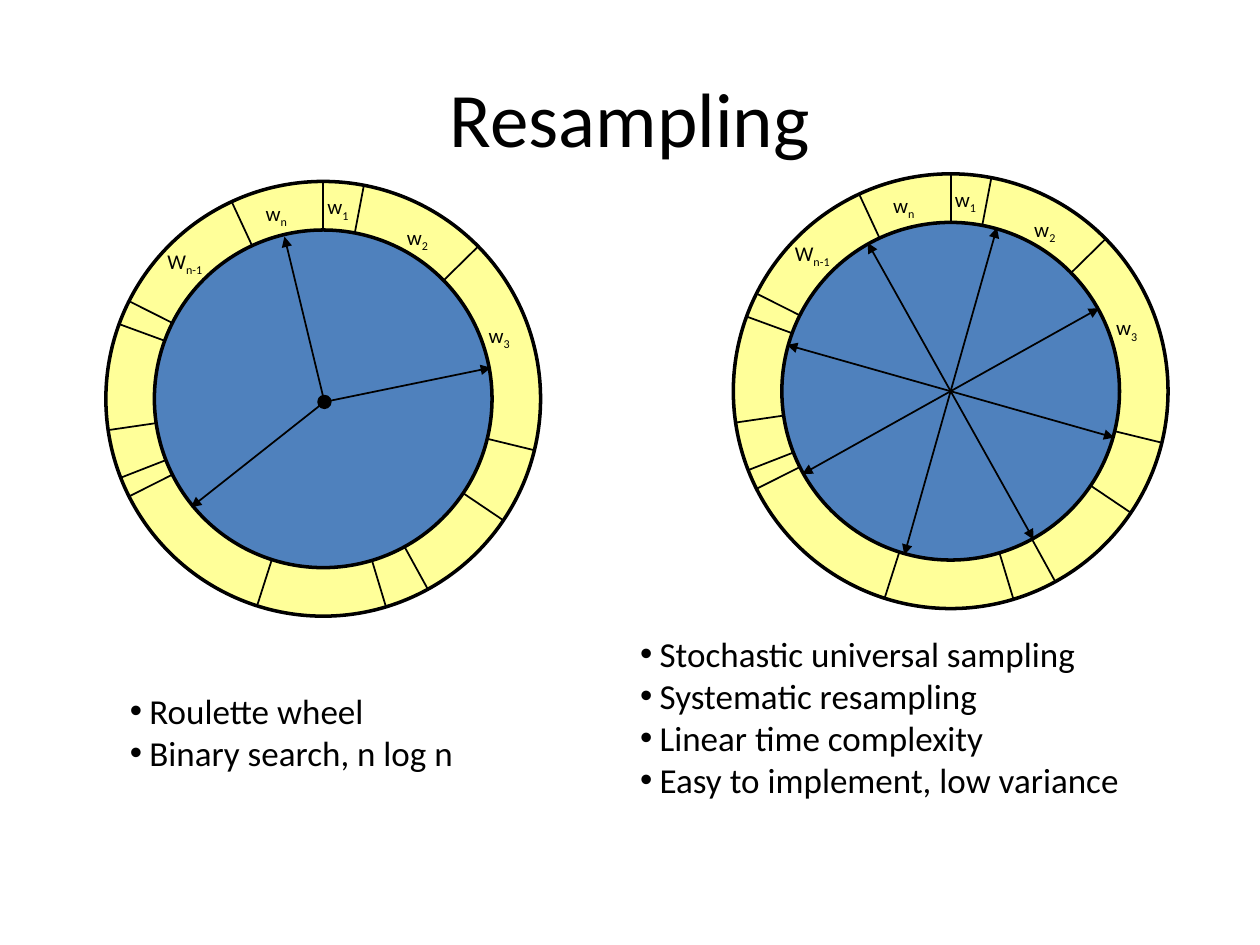
"""Build the slide that compares two resampling schemes on weight wheels."""
import math

from lxml import etree
from pptx import Presentation, util as u
from pptx.dml.color import RGBColor
from pptx.enum import shapes, text
from pptx.oxml import ns

BLACK = RGBColor(0x00, 0x00, 0x00)
YELLOW = RGBColor(0xFF, 0xFF, 0x99)
BLUE = RGBColor(0x4F, 0x81, 0xBD)
FONT = "Calibri"
COLUMNS, ROWS = 100, 75
CELL = u.Inches(0.1)

RIM, HUB, ARROW, SPOKE = 17.25, 13.4, 13.5, 17.2
SPOKE_ANGLES = (0, 10.8, 45.5, 103.7, 124, 151.2, 163.2, 197.7,
                243.3, 248.7, 261.7, 290.1, 296.7, 335.1)
LABELS = (("w", "1", -0.65, -16.75, 4.1), ("w", "2", 5.65, -14.35, 4.1),
          ("w", "3", 12.15, -6.55, 4.1), ("w", "n", -5.55, -16.25, 4.1),
          ("W", "n-1", -13.35, -12.45, 5.6))
ROULETTE, UNIVERSAL = (25.65, 31.65), (75.45, 31.05)
ROULETTE_PIN = (25.75, 31.9)
ROULETTE_ANGLES = (78.4, 231.7, 346.4)
UNIVERSAL_START, UNIVERSAL_STEP, UNIVERSAL_LINES = 15.8, 45, 4


def cells(*counts):
    """Turn counts of grid cells into lengths."""
    return [round(n * CELL) for n in counts]


def polar(center, radius, angle):
    """Find the point at a clockwise angle from twelve o'clock."""
    a = math.radians(angle)
    return center[0] + radius * math.sin(a), center[1] - radius * math.cos(a)


def write(p, words, size=20, subscript=False):
    """Add one formatted run of text to a paragraph."""
    r = p.add_run()
    r.text = words
    r.font.name, r.font.size = FONT, u.Pt(size)
    r.font.color.rgb = BLACK
    if subscript:
        r.font._element.set("baseline", "-25000")


def add_disc(s, center, radius, fill, width=2):
    """Draw a filled circle around a centre."""
    x, y = center
    sp = s.shapes.add_shape(
        shapes.MSO_SHAPE.OVAL,
        *cells(x - radius, y - radius, 2 * radius, 2 * radius))
    sp.shadow.inherit = False
    sp.fill.solid()
    sp.fill.fore_color.rgb = fill
    sp.line.color.rgb = BLACK
    sp.line.width = u.Pt(width)


def add_line(s, start, end, heads=()):
    """Draw a thin line with arrowheads at the named ends."""
    line = s.shapes.add_connector(
        shapes.MSO_CONNECTOR.STRAIGHT, *cells(*start, *end))
    line.line.color.rgb = BLACK
    line.line.width = u.Pt(1)
    for head in heads:
        etree.SubElement(line.line._ln, ns.qn(f"a:{head}"), type="triangle")
    etree.SubElement(line._element.spPr, ns.qn("a:effectLst"))


def add_label(s, center, letter, index, dx, dy, width):
    """Write a weight's name beside its sector."""
    x, y = center
    tf = s.shapes.add_textbox(*cells(x + dx, y + dy, width, 2.8)).text_frame
    tf.word_wrap = True
    write(tf.paragraphs[0], letter, size=12)
    write(tf.paragraphs[0], index, size=12, subscript=True)


def add_wheel(s, center):
    """Draw the ring of weights with its hub."""
    add_disc(s, center, RIM, YELLOW)
    for angle in SPOKE_ANGLES:
        add_line(s, center, polar(center, SPOKE, angle))
    for label in LABELS:
        add_label(s, center, *label)
    add_disc(s, center, HUB, BLUE)


def place(sp, x, y, width, height):
    """Move a placeholder to a grid position and return its text frame."""
    sp.left, sp.top, sp.width, sp.height = cells(x, y, width, height)
    tf = sp.text_frame
    tf.word_wrap = True
    tf.auto_size = text.MSO_AUTO_SIZE.NONE
    return tf


def fill_list(tf, items):
    """Write a tight bulleted list."""
    tf.vertical_anchor = text.MSO_ANCHOR.TOP
    indent = cells(1.55)[0]
    for i, item in enumerate(items):
        p = tf.add_paragraph() if i else tf.paragraphs[0]
        p.space_before = u.Pt(0)
        pPr = p._p.get_or_add_pPr()
        pPr.set("marL", str(indent))
        pPr.set("indent", str(-indent))
        etree.SubElement(pPr, ns.qn("a:buChar"), char="•")
        write(p, item)


def main():
    """Compose and save the slide."""
    prs = Presentation()
    prs.slide_width, prs.slide_height = cells(COLUMNS, ROWS)
    s = prs.slides.add_slide(prs.slide_layouts[3])
    title, left, right = s.placeholders

    tf = place(title, 5, 3, 90, 12.5)
    tf.vertical_anchor = text.MSO_ANCHOR.MIDDLE
    tf.paragraphs[0].alignment = text.PP_ALIGN.CENTER
    write(tf.paragraphs[0], "Resampling", size=44)
    fill_list(place(left, 9.3, 54.2, 35.5, 8.7),
              ("Roulette wheel", "Binary search, n log n"))
    fill_list(place(right, 49.8, 49.7, 50, 18),
              ("Stochastic universal sampling", "Systematic resampling",
               "Linear time complexity", "Easy to implement, low variance"))

    add_wheel(s, UNIVERSAL)
    for i in range(UNIVERSAL_LINES):
        angle = UNIVERSAL_START + i * UNIVERSAL_STEP
        add_line(s, polar(UNIVERSAL, ARROW, angle),
                 polar(UNIVERSAL, ARROW, angle + 180), ("headEnd", "tailEnd"))

    add_wheel(s, ROULETTE)
    for angle in ROULETTE_ANGLES:
        add_line(s, ROULETTE_PIN, polar(ROULETTE_PIN, ARROW, angle),
                 ("tailEnd",))
    add_disc(s, ROULETTE_PIN, 0.5, BLACK, width=1)
    prs.save("out.pptx")


if __name__ == "__main__":
    main()
